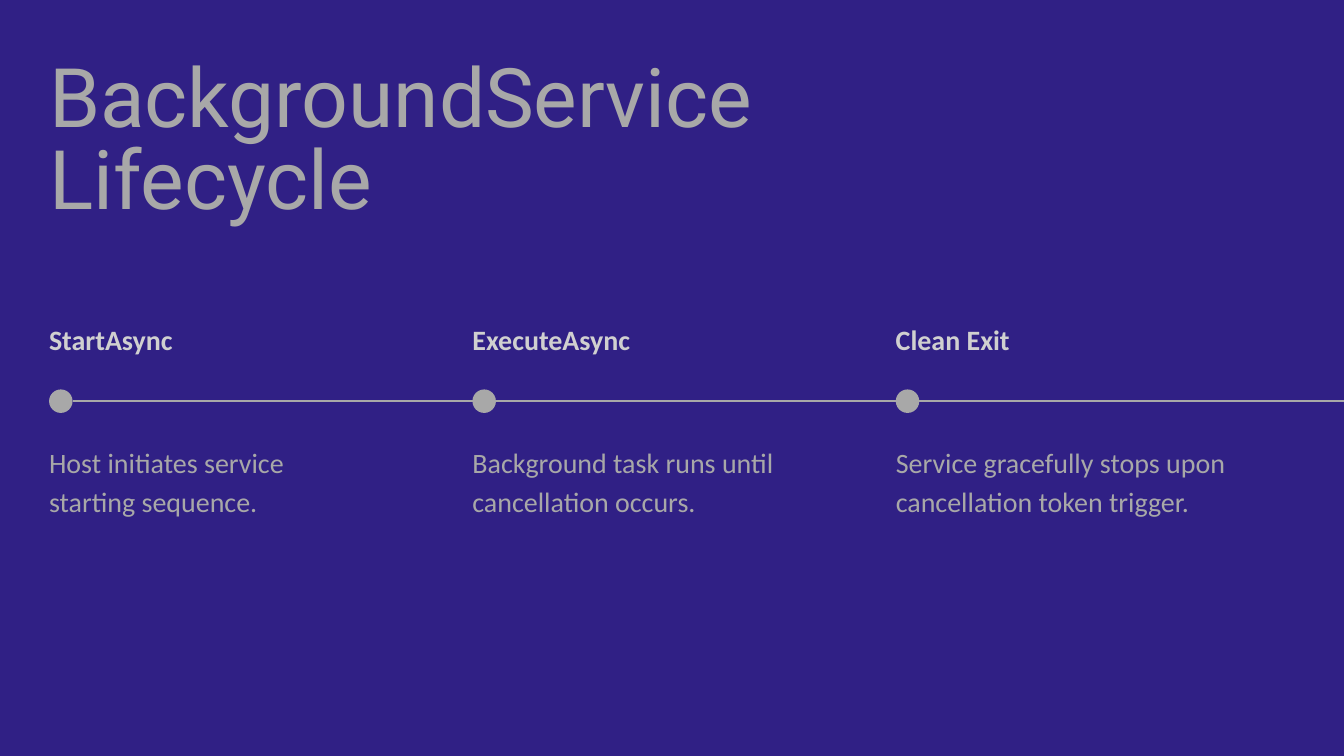
from lxml.etree import SubElement
from pptx import Presentation
from pptx.dml.color import RGBColor as Rgb
from pptx.enum.shapes import MSO_CONNECTOR as Conn, MSO_SHAPE as Shape
from pptx.enum.text import MSO_AUTO_SIZE as Fit
from pptx.oxml.ns import qn
from pptx.util import Inches, Pt

TITLE = "BackgroundService Lifecycle"
STEPS = [
    ("StartAsync", "Host initiates service starting sequence.", 4.39),
    ("ExecuteAsync", "Background task runs until cancellation occurs.", 4.75),
    ("Clean Exit", "Service gracefully stops upon cancellation token trigger.", 5.29),
]
THEME = {
    "back": Rgb(0x30, 0x20, 0x85),
    "gray": Rgb(0xA8, 0xA8, 0xA8),
    "title": ("Roboto", 88, 88, "A8A8A8", False),
    "head": ("Calibri", 30, 36, "D0D0D0", True),
    "body": ("Calibri", 30, 42, "A8A8A8", False),
}
LEFT, STEP, AXIS, DOT, END = 0.73, 6.3, 5.97, 0.35, 20.34


def add_text(slide, text, style, *place):
    """Add a wrapped text box in one of the theme's styles."""
    face, size, lead, color, bold = THEME[style]
    frame = slide.shapes.add_textbox(*map(Inches, place)).text_frame
    frame.margin_left = frame.margin_right = 0
    frame.margin_top = frame.margin_bottom = 0
    frame.word_wrap = True
    frame.auto_size = Fit.SHAPE_TO_FIT_TEXT
    frame.text = text
    para = frame.paragraphs[0]
    para.line_spacing = Pt(lead)
    font = para.runs[0].font
    font.name, font.size, font.bold = face, Pt(size), bold
    font.color.rgb = Rgb.from_string(color)


def add_axis(slide):
    """Draw the timeline from the first dot past the right edge."""
    ends = map(Inches, (LEFT + DOT, AXIS, END, AXIS))
    line = slide.shapes.add_connector(Conn.STRAIGHT, *ends)
    line.line.color.rgb = THEME["gray"]
    line.line.width = Pt(1.5)
    SubElement(line._element.spPr, qn("a:effectLst"))


def add_dot(slide, left):
    """Draw one timeline dot centred on the axis."""
    place = map(Inches, (left, AXIS - DOT / 2, DOT, DOT))
    dot = slide.shapes.add_shape(Shape.OVAL, *place)
    dot.shadow.inherit = False
    dot.fill.solid()
    dot.fill.fore_color.rgb = THEME["gray"]
    dot.line.fill.background()


def main():
    """Build and save the lifecycle slide."""
    deck = Presentation()
    deck.slide_width, deck.slide_height = Inches(20), Inches(11.25)
    slide = deck.slides.add_slide(deck.slide_layouts[6])
    slide.background.fill.solid()
    slide.background.fill.fore_color.rgb = THEME["back"]
    add_text(slide, TITLE, "title", LEFT, 0.92, 15.4, 2.49)
    add_axis(slide)
    for i, (head, body, width) in enumerate(STEPS):
        left = LEFT + i * STEP
        add_text(slide, head, "head", left, 4.8, 3.13, 0.51)
        add_dot(slide, left)
        add_text(slide, body, "body", left, 6.55, width, 1.16)
    deck.save("out.pptx")


if __name__ == "__main__":
    main()
